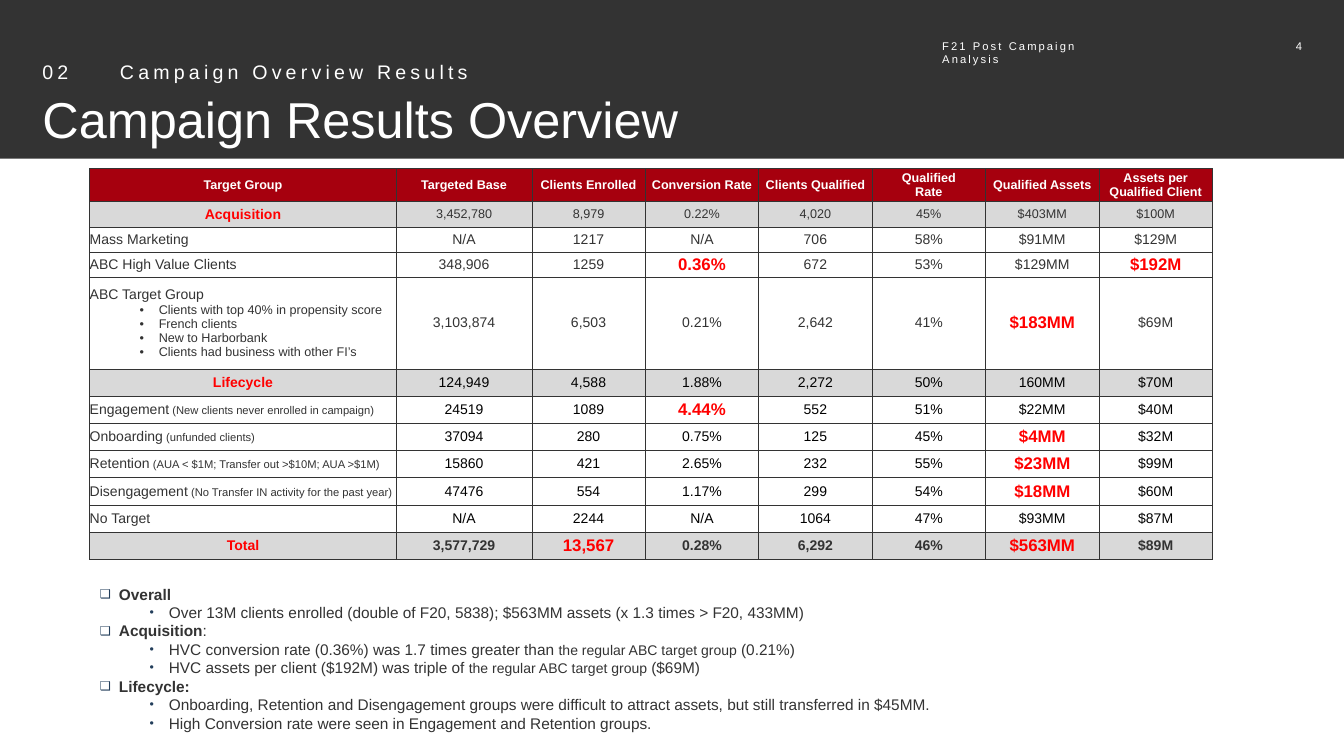
from lxml.etree import SubElement
from pptx import Presentation
from pptx.dml.color import RGBColor
from pptx.enum.shapes import MSO_SHAPE
from pptx.enum.text import MSO_ANCHOR, PP_ALIGN
from pptx.oxml.ns import qn
from pptx.util import Inches, Pt

CHARCOAL = RGBColor(0x33, 0x33, 0x33)
CRIMSON = RGBColor(0xA6, 0x00, 0x0E)
RED = RGBColor(0xFF, 0x00, 0x00)
GREY = RGBColor(0xD9, 0xD9, 0xD9)
BLACK = RGBColor(0x00, 0x00, 0x00)
WHITE = RGBColor(0xFF, 0xFF, 0xFF)
NAVY = RGBColor(0x23, 0x3E, 0x5B)

COLUMN_WIDTHS = [6.08, 2.69] + [2.25] * 6
ROW_HEIGHTS = [0.66] + [0.5] * 3 + [1.82] + [0.54] * 7
HEADINGS = [
    "Target Group", "Targeted Base", "Clients Enrolled", "Conversion Rate",
    "Clients Qualified", "Qualified\nRate", "Qualified Assets",
    "Assets per\vQualified Client",
]
RESULTS = [
    ["Acquisition", "3,452,780", "8,979", "0.22%", "4,020", "45%", "$403MM", "$100M"],
    ["Mass Marketing", "N/A", "1217", "N/A", "706", "58%", "$91MM", "$129M"],
    ["ABC High Value Clients", "348,906", "1259", "0.36%", "672", "53%", "$129MM", "$192M"],
    ["ABC Target Group", "3,103,874", "6,503", "0.21%", "2,642", "41%", "$183MM", "$69M"],
    ["Lifecycle", "124,949", "4,588", "1.88%", "2,272", "50%", "160MM", "$70M"],
    ["Engagement", "24519", "1089", "4.44%", "552", "51%", "$22MM", "$40M"],
    ["Onboarding", "37094", "280", "0.75%", "125", "45%", "$4MM", "$32M"],
    ["Retention", "15860", "421", "2.65%", "232", "55%", "$23MM", "$99M"],
    ["Disengagement", "47476", "554", "1.17%", "299", "54%", "$18MM", "$60M"],
    ["No Target", "N/A", "2244", "N/A", "1064", "47%", "$93MM", "$87M"],
    ["Total", "3,577,729", "13,567", "0.28%", "6,292", "46%", "$563MM", "$89M"],
]
GROUP_ROWS = {"Acquisition", "Lifecycle", "Total"}
HIGHLIGHTS = {"0.36%", "$192M", "$183MM", "4.44%", "$4MM", "$23MM", "$18MM", "13,567", "$563MM"}
BLACK_ROWS = {"Lifecycle", "Engagement", "Onboarding", "Retention", "Disengagement", "No Target"}
LABEL_NOTES = {
    "Engagement": "(New clients never enrolled in campaign)",
    "Onboarding": "(unfunded clients)",
    "Retention": "(AUA < $1M; Transfer out >$10M; AUA >$1M)",
    "Disengagement": "(No Transfer IN activity for the past year)",
}
TARGET_GROUP_DETAILS = [
    "Clients with top 40% in propensity score",
    "French clients",
    "New to Harborbank",
    "Clients had business with other FI’s",
]
TARGET_GROUP = "the regular ABC target group "
FINDINGS = [
    ("Overall", "", [
        ["Over 13M clients enrolled (double of F20, 5838); $563MM assets (x 1.3 times > F20, 433MM)"],
    ]),
    ("Acquisition", ":", [
        ["HVC conversion rate (0.36%) was 1.7 times greater than ", TARGET_GROUP, "(0.21%)"],
        ["HVC assets per client ($192M) was triple of ", TARGET_GROUP, "($69M)"],
    ]),
    ("Lifecycle:", "", [
        ["Onboarding, Retention and Disengagement groups were difficult to attract assets, but still transferred in $45MM."],
        ["High Conversion rate were seen in Engagement and Retention groups."],
    ]),
]


def write_text(paragraph, text, size=20, color=CHARCOAL, bold=False, spacing=0, align=None):
    if align is not None:
        paragraph.alignment = align
    for index, line in enumerate(text.split("\v")):
        if index:
            paragraph.add_line_break()
        run = paragraph.add_run()
        run.text = line
        run.font.name = "Arial"
        run.font.size = Pt(size)
        run.font.bold = bold
        run.font.color.rgb = color
        if spacing:
            run._r.get_or_add_rPr().set("spc", str(spacing * 100))


class SlideBuilder:
    font_indent = 0.38

    def __init__(self, slide):
        self.slide = slide

    def rectangle(self, left, top, width, height, color):
        shape = self.slide.shapes.add_shape(
            MSO_SHAPE.RECTANGLE, Inches(left), Inches(top), Inches(width), Inches(height))
        shape.shadow.inherit = False
        shape.fill.solid()
        shape.fill.fore_color.rgb = color
        shape.line.fill.background()

    def text_box(self, left, top, width, height, anchor=MSO_ANCHOR.TOP):
        shape = self.slide.shapes.add_textbox(
            Inches(left), Inches(top), Inches(width), Inches(height))
        frame = shape.text_frame
        frame.word_wrap = True
        frame.vertical_anchor = anchor
        frame.margin_left = frame.margin_right = frame.margin_top = frame.margin_bottom = 0
        return frame

    def bullet(self, paragraph, character, left, line_height, color=None):
        paragraph.line_spacing = Pt(line_height)
        properties = paragraph._p.get_or_add_pPr()
        properties.set("marL", str(Inches(left)))
        properties.set("indent", str(-Inches(self.font_indent)))
        if color is not None:
            bullet_color = SubElement(properties, qn("a:buClr"))
            SubElement(bullet_color, qn("a:srgbClr"), val=str(color))
            SubElement(properties, qn("a:buSzPct"), val="80000")
        SubElement(properties, qn("a:buFont"), typeface="Arial")
        SubElement(properties, qn("a:buChar"), char=character)

    def table(self, left, top, column_widths, row_heights):
        table = self.slide.shapes.add_table(
            len(row_heights), len(column_widths), Inches(left), Inches(top),
            Inches(sum(column_widths)), Inches(sum(row_heights))).table
        table.first_row = False
        table.horz_banding = False
        for column, width in zip(table.columns, column_widths):
            column.width = Inches(width)
        for row, height in zip(table.rows, row_heights):
            row.height = Inches(height)
        return table

    def cell(self, cell, text, fill=None, **style):
        cell.margin_left = cell.margin_right = cell.margin_top = cell.margin_bottom = 0
        cell.vertical_anchor = MSO_ANCHOR.MIDDLE
        properties = cell._tc.get_or_add_tcPr()
        for side in ("lnL", "lnR", "lnT", "lnB"):
            border = SubElement(properties, qn(f"a:{side}"), w=str(Pt(1)))
            border_fill = SubElement(border, qn("a:solidFill"))
            SubElement(border_fill, qn("a:srgbClr"), val=str(CHARCOAL))
        if fill is None:
            cell.fill.background()
        else:
            cell.fill.solid()
            cell.fill.fore_color.rgb = fill
        frame = cell.text_frame
        for index, line in enumerate(text.split("\n")):
            paragraph = frame.add_paragraph() if index else frame.paragraphs[0]
            write_text(paragraph, line, **style)


def add_header(builder):
    builder.rectangle(0, 0, 26.66, 3.15, CHARCOAL)
    number = builder.text_box(25.32, 0.73, 0.51, 0.37, MSO_ANCHOR.MIDDLE)
    write_text(number.paragraphs[0], "4", size=16, color=WHITE, align=PP_ALIGN.RIGHT)
    title = builder.text_box(0.84, 1.19, 25.52, 1.68)
    section = title.paragraphs[0]
    write_text(section, "02\tCampaign Overview Results", size=28, color=WHITE, spacing=6)
    tabs = SubElement(section._p.get_or_add_pPr(), qn("a:tabLst"))
    SubElement(tabs, qn("a:tab"), pos=str(Inches(1.54)), algn="l")
    heading = title.add_paragraph()
    heading.space_before = Pt(6)
    write_text(heading, "Campaign Results Overview", size=72, color=WHITE)
    report = builder.text_box(18.69, 0.78, 3.82, 0.27)
    write_text(report.paragraphs[0], "F21 Post Campaign Analysis", size=16, color=WHITE, spacing=3)


def add_results(builder):
    table = builder.table(1.78, 3.34, COLUMN_WIDTHS, ROW_HEIGHTS)
    for column, heading in enumerate(HEADINGS):
        builder.cell(table.cell(0, column), heading, CRIMSON,
                     size=18, color=WHITE, bold=True, align=PP_ALIGN.CENTER)
    for row, (label, *values) in enumerate(RESULTS, start=1):
        grouped = label in GROUP_ROWS
        fill = GREY if grouped else None
        label_cell = table.cell(row, 0)
        builder.cell(label_cell, label, fill, color=RED if grouped else CHARCOAL,
                     bold=grouped, align=PP_ALIGN.CENTER if grouped else PP_ALIGN.LEFT)
        if label in LABEL_NOTES:
            write_text(label_cell.text_frame.paragraphs[0], " " + LABEL_NOTES[label], size=16)
        if label == "ABC Target Group":
            for detail in TARGET_GROUP_DETAILS:
                paragraph = label_cell.text_frame.add_paragraph()
                builder.bullet(paragraph, "•", 1.37, 20)
                write_text(paragraph, detail, size=18)
        for column, value in enumerate(values, start=1):
            if value in HIGHLIGHTS:
                style = {"size": 24, "color": RED, "bold": True}
            else:
                style = {"size": 18 if label == "Acquisition" else 20,
                         "color": BLACK if label in BLACK_ROWS else CHARCOAL,
                         "bold": label == "Total"}
            builder.cell(table.cell(row, column), value, fill, align=PP_ALIGN.CENTER, **style)


def add_findings(builder):
    frame = builder.text_box(1.98, 11.6, 21.45, 3)
    for index, (topic, suffix, points) in enumerate(FINDINGS):
        paragraph = frame.add_paragraph() if index else frame.paragraphs[0]
        builder.bullet(paragraph, "❑", 0.38, 26.4, NAVY)
        write_text(paragraph, topic, size=22, bold=True)
        if suffix:
            write_text(paragraph, suffix, size=22)
        for point in points:
            paragraph = frame.add_paragraph()
            paragraph.level = 1
            builder.bullet(paragraph, "•", 1.37, 26.4, NAVY)
            for part in point:
                write_text(paragraph, part, size=20 if part == TARGET_GROUP else 22)


def main():
    presentation = Presentation()
    presentation.slide_width = Inches(26.66)
    presentation.slide_height = Inches(15)
    builder = SlideBuilder(presentation.slides.add_slide(presentation.slide_layouts[6]))
    add_header(builder)
    add_results(builder)
    add_findings(builder)
    presentation.save("out.pptx")


if __name__ == "__main__":
    main()
